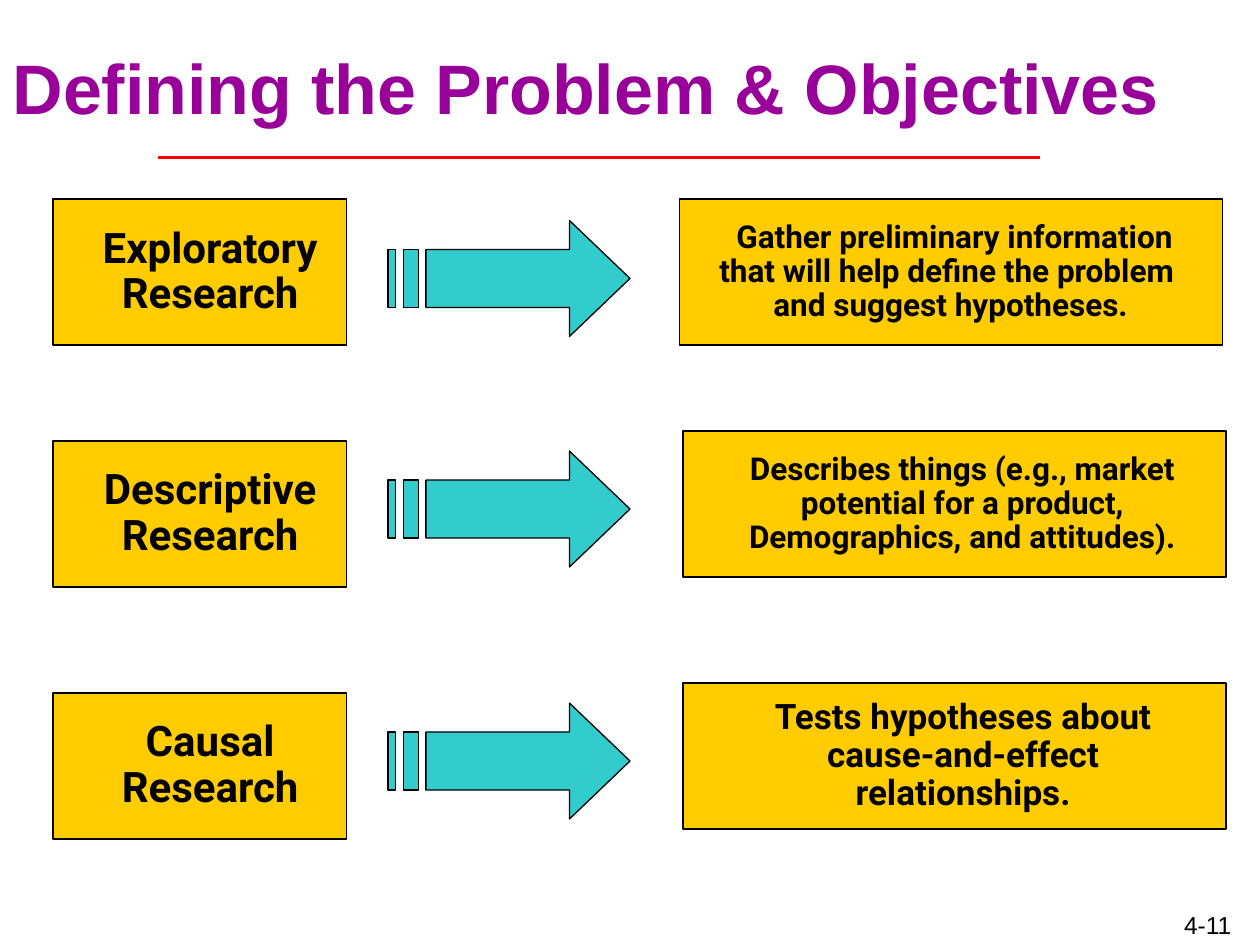
from lxml.etree import SubElement
from pptx import Presentation
from pptx.dml.color import RGBColor
from pptx.enum.shapes import MSO_CONNECTOR, MSO_SHAPE
from pptx.enum.text import MSO_ANCHOR, MSO_AUTO_SIZE, PP_ALIGN
from pptx.oxml.ns import qn
from pptx.util import Inches, Pt

PURPLE = RGBColor(0x99, 0x00, 0x99)
RED = RGBColor(0xFF, 0x00, 0x00)
GOLD = RGBColor(0xFF, 0xCC, 0x00)
TEAL = RGBColor(0x33, 0xCC, 0xCC)
BLACK = RGBColor(0, 0, 0)

ROWS = [
    (1.58, "Exploratory\nResearch", 1.75, 5.39, 1.58, 18, 1,
     "Gather preliminary information \nthat will help define the problem \nand suggest hypotheses."),
    (3.5, "Descriptive\nResearch", 3.58, 5.42, 3.42, 18, 3,
     "Describes things (e.g., market\npotential for a product,\nDemographics, and attitudes)."),
    (5.5, "Causal\nResearch", 5.58, 5.42, 5.42, 20, 3,
     "Tests hypotheses about\ncause-and-effect\nrelationships."),
]
ARROW = [
    [(1.44, 0), (1.44, 0.23), (0.3, 0.23), (0.3, 0.69), (1.44, 0.69), (1.44, 0.92), (1.92, 0.46)],
    [(0.12, 0.23), (0.12, 0.69), (0.24, 0.69), (0.24, 0.23)],
    [(0, 0.23), (0, 0.69), (0.06, 0.69), (0.06, 0.23)],
]


def style(font, name, size, color, bold=False):
    """Set the look of a font."""
    font.name, font.size, font.bold = name, Pt(size), bold
    font.color.rgb = color


def paint(shape, color):
    """Fill a shape and give it a thin black line."""
    shape.shadow.inherit = False
    shape.fill.solid()
    shape.fill.fore_color.rgb = color
    shape.line.color.rgb = BLACK
    shape.line.width = Pt(0.75)


def add_blank(para, indent):
    """Give a paragraph a hanging blank bullet."""
    props = para._p.get_or_add_pPr()
    props.set("marL", "0")
    props.set("indent", str(-Inches(indent)))
    color = SubElement(props, qn("a:buClr"))
    SubElement(color, qn("a:srgbClr")).set("val", "FFFFFF")
    SubElement(props, qn("a:buChar")).set("char", " ")


def add_box(slide, left, top, width, text, size, indent, marks):
    """Add a gold box whose first paragraphs carry blank bullets."""
    box = slide.shapes.add_shape(
        MSO_SHAPE.RECTANGLE, Inches(left), Inches(top), Inches(width), Inches(1.16))
    paint(box, GOLD)
    frame = box.text_frame
    frame.text = text
    frame.vertical_anchor = MSO_ANCHOR.MIDDLE
    frame.margin_left = frame.margin_right = Inches(0.09)
    frame.margin_top = frame.margin_bottom = Inches(0.04)
    for num, para in enumerate(frame.paragraphs):
        para.alignment = PP_ALIGN.CENTER
        para.line_spacing = 0.9
        if num < marks:
            add_blank(para, indent)
        for run in para.runs:
            style(run.font, "Roboto", size, BLACK, True)


def add_arrow(slide, left, top):
    """Add a striped arrow that points right."""
    first, *rest = [[(Inches(x), Inches(y)) for x, y in part] for part in ARROW]
    form = slide.shapes.build_freeform(*first[0])
    form.add_line_segments(first[1:])
    for part in rest:
        form.move_to(*part[0])
        form.add_line_segments(part[1:])
    paint(form.convert_to_shape(Inches(left), Inches(top)), TEAL)


def add_title(slide, text):
    """Place the title and the rule below it."""
    title = slide.shapes.title
    title.left, title.top = Inches(0), Inches(0.25)
    title.width, title.height = Inches(10), Inches(0.87)
    frame = title.text_frame
    frame.text = text
    frame.auto_size = MSO_AUTO_SIZE.NONE
    frame.vertical_anchor = MSO_ANCHOR.MIDDLE
    para = frame.paragraphs[0]
    para.alignment = PP_ALIGN.LEFT
    style(para.runs[0].font, "Arial", 40, PURPLE, True)
    rule = slide.shapes.add_connector(
        MSO_CONNECTOR.STRAIGHT, Inches(8.25), Inches(1.25), Inches(1.25), Inches(1.25))
    rule.line.color.rgb = RED
    rule.line.width = Pt(2)
    SubElement(rule._element.spPr, qn("a:effectLst"))


def add_number(slide, text):
    """Add the page number at the lower right."""
    box = slide.shapes.add_textbox(Inches(9.17), Inches(7.17), Inches(0.83), Inches(0.33))
    frame = box.text_frame
    frame.word_wrap = True
    frame.text = text
    para = frame.paragraphs[0]
    para.alignment = PP_ALIGN.CENTER
    style(para.runs[0].font, "Arial", 14, BLACK)


def main():
    """Build and save the slide."""
    deck = Presentation()
    deck.slide_width, deck.slide_height = Inches(10), Inches(7.5)
    slide = deck.slides.add_slide(deck.slide_layouts[5])
    add_title(slide, "Defining the Problem & Objectives")
    for top, name, mid, left, high, size, marks, text in ROWS:
        add_box(slide, 0.42, top, 2.33, name, 24, 0.17, 2)
        add_arrow(slide, 3.08, mid)
        add_box(slide, left, high, 4.31, text, size, 0.14, marks)
    add_number(slide, "4-11")
    deck.save("out.pptx")


if __name__ == "__main__":
    main()
